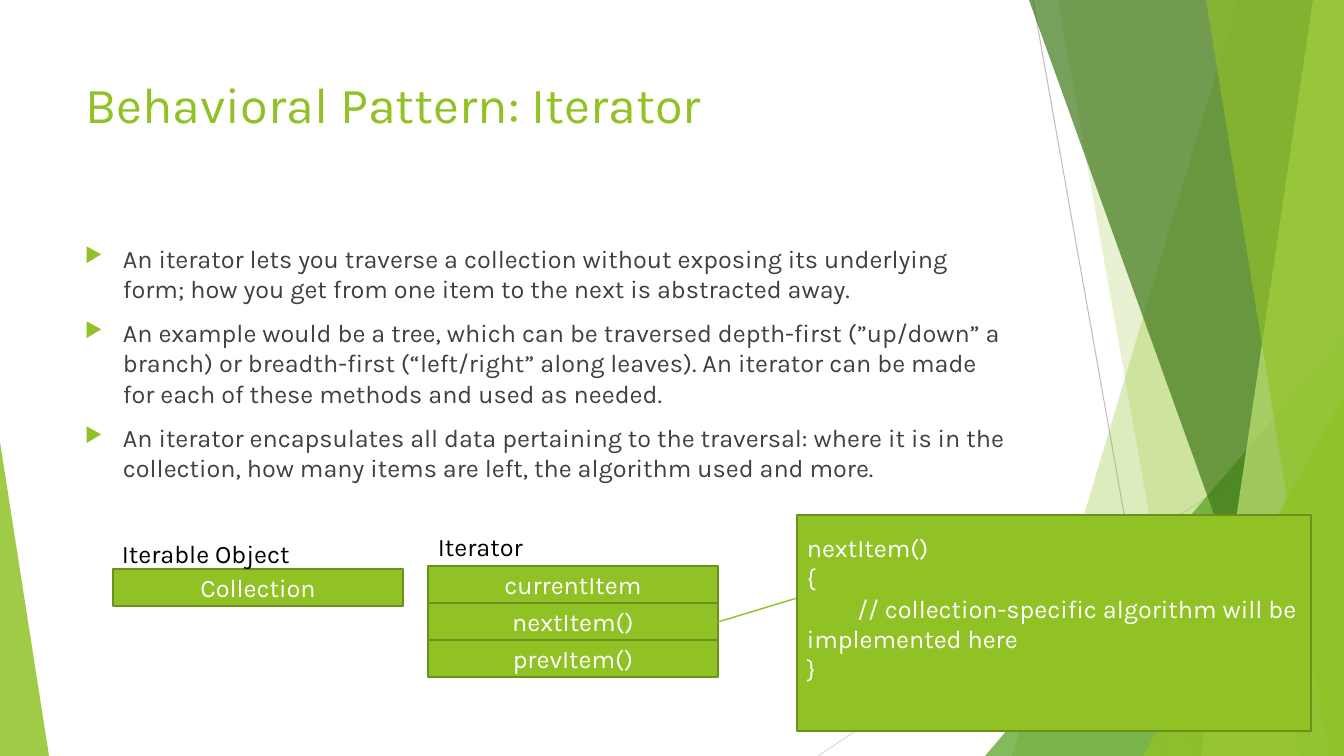
from dataclasses import dataclass

from lxml import etree
from pptx import Presentation
from pptx.dml.color import RGBColor
from pptx.enum.shapes import MSO_CONNECTOR, MSO_SHAPE
from pptx.enum.text import MSO_ANCHOR, MSO_AUTO_SIZE, PP_ALIGN
from pptx.oxml.ns import qn
from pptx.util import Pt

RECTANGLE = MSO_SHAPE.RECTANGLE
TRIANGLE = MSO_SHAPE.ISOSCELES_TRIANGLE
STRAIGHT = MSO_CONNECTOR.STRAIGHT
LEFT, CENTER = PP_ALIGN.LEFT, PP_ALIGN.CENTER
TOP, MIDDLE = MSO_ANCHOR.TOP, MSO_ANCHOR.MIDDLE
NO_AUTOFIT = MSO_AUTO_SIZE.NONE
GROW = MSO_AUTO_SIZE.SHAPE_TO_FIT_TEXT


@dataclass(frozen=True)
class Theme:
    font: str = "Karla"
    title_size: int = 36
    body_size: int = 18
    accent: str = "90C226"
    border: str = "6B901C"
    body: str = "404040"
    label: str = "000000"
    inverse: str = "FFFFFF"
    leaf: str = "54A021"
    forest: str = "3F7819"
    pale: str = "C0E474"
    line_dark: str = "BFBFBF"
    line_light: str = "D9D9D9"


THEME = Theme()
EMU_PER_PX = 914400 / 100.8
SLIDE_WIDTH, SLIDE_HEIGHT = 1344, 756

TITLE = "Behavioral Pattern: Iterator"
TITLE_BOX = (75, 68, 948, 145)
BULLETS = [
    "An iterator lets you traverse a collection without exposing its underlying form; "
    "how you get from one item to the next is abstracted away.",
    "An example would be a tree, which can be traversed depth-first (”up/down” a branch) "
    "or breadth-first (“left/right” along leaves). An iterator can be made for each of "
    "these methods and used as needed.",
    "An iterator encapsulates all data pertaining to the traversal: where it is in the "
    "collection, how many items are left, the algorithm used and more.",
]
BULLET_BOX = (75, 238, 948, 427)
BULLET_INDENT = 38

BACKGROUND_LINES = [
    ((1033, 0), (1167, 756), THEME.line_dark),
    ((1344, 406), (818, 756), THEME.line_light),
]
FACETS = [
    ("band", (1238, 1012), THEME.accent, 30),
    ("band", (1058, 1192), THEME.accent, 20),
    ("right", (985, 336, 359, 420), THEME.leaf, 72),
    ("band", (1029, 1301), THEME.forest, 70),
    ("band", (1313, 1201), THEME.pale, 70),
    ("band", (1206, 1329), THEME.accent, 65),
    ("right", (1143, 396, 201, 360), THEME.accent, 80),
    ("left", (0, 442, 49, 314), THEME.accent, 85),
]

MEMBER_WIDTH, MEMBER_HEIGHT = 290, 37
CLASSES = [
    ("Iterable Object", (112, 533, 196, 40), (113, 569), ["Collection"]),
    ("Iterator", (428, 526, 108, 40), (428, 566), ["currentItem", "nextItem()", "prevItem()"]),
]
CALLOUT_LINE = ((718, 622), (840, 585))
CODE = [
    "nextItem()",
    "{",
    "\t// collection-specific algorithm will be implemented here",
    "}",
]
CODE_BOX = (797, 515, 514, 216)
CODE_BOTTOM_INSET = 35


def px(value):
    return round(value * EMU_PER_PX)


def box_emu(box):
    return [px(value) for value in box]


def color(value):
    return RGBColor.from_string(value)


def write(shape, lines, text_color, size=THEME.body_size, align=LEFT, anchor=TOP):
    frame = shape.text_frame
    frame.text = "\n".join(lines)
    frame.word_wrap = True
    frame.auto_size = NO_AUTOFIT
    frame.vertical_anchor = anchor
    for paragraph in frame.paragraphs:
        paragraph.alignment = align
        for run in paragraph.runs:
            run.font.name = THEME.font
            run.font.size = Pt(size)
            run.font.color.rgb = color(text_color)
    return frame


def add_line(slide, start, end, line_color, width, arrow=False):
    connector = slide.shapes.add_connector(STRAIGHT, *box_emu(start + end))
    connector.line.color.rgb = color(line_color)
    connector.line.width = Pt(width)
    if arrow:
        line = connector.line._get_or_add_ln()
        etree.SubElement(line, qn("a:tailEnd"), type="triangle")
    etree.SubElement(connector._element.spPr, qn("a:effectLst"))


def add_facet(slide, kind, geometry, fill_color, opacity):
    if kind == "band":
        top_left, bottom_left = geometry
        builder = slide.shapes.build_freeform(top_left, 0, scale=EMU_PER_PX)
        builder.add_line_segments(
            [(SLIDE_WIDTH, 0), (SLIDE_WIDTH, SLIDE_HEIGHT), (bottom_left, SLIDE_HEIGHT)]
        )
        shape = builder.convert_to_shape()
    else:
        shape = slide.shapes.add_shape(TRIANGLE, *box_emu(geometry))
        shape.adjustments[0] = 1 if kind == "right" else 0
    shape.shadow.inherit = False
    shape.line.fill.background()
    shape.fill.solid()
    shape.fill.fore_color.rgb = color(fill_color)
    fill = shape._element.spPr.find(qn("a:solidFill"))
    etree.SubElement(fill[0], qn("a:alpha"), val=str(opacity * 1000))


def add_box(slide, box, lines, align):
    shape = slide.shapes.add_shape(RECTANGLE, *box_emu(box))
    shape.shadow.inherit = False
    shape.fill.solid()
    shape.fill.fore_color.rgb = color(THEME.accent)
    shape.line.color.rgb = color(THEME.border)
    shape.line.width = Pt(1.5)
    return write(shape, lines, THEME.inverse, align=align, anchor=MIDDLE)


def add_bullets(slide):
    frame = write(slide.shapes.add_textbox(*box_emu(BULLET_BOX)), BULLETS, THEME.body)
    for paragraph in frame.paragraphs:
        paragraph.space_before = Pt(10)
        properties = paragraph._p.get_or_add_pPr()
        properties.set("marL", str(px(BULLET_INDENT)))
        properties.set("indent", str(-px(BULLET_INDENT)))
        bullet_color = etree.SubElement(properties, qn("a:buClr"))
        etree.SubElement(bullet_color, qn("a:srgbClr"), val=THEME.accent)
        etree.SubElement(properties, qn("a:buSzPct"), val="80000")
        etree.SubElement(properties, qn("a:buChar"), char="▶")


def add_class(slide, name, label_box, corner, members):
    left, top = corner
    for index, member in enumerate(members):
        box = (left, top + index * MEMBER_HEIGHT, MEMBER_WIDTH, MEMBER_HEIGHT)
        add_box(slide, box, [member], CENTER)
    frame = write(slide.shapes.add_textbox(*box_emu(label_box)), [name], THEME.label)
    frame.word_wrap = False
    frame.auto_size = GROW


def main():
    presentation = Presentation()
    presentation.slide_width, presentation.slide_height = px(SLIDE_WIDTH), px(SLIDE_HEIGHT)
    slide = presentation.slides.add_slide(presentation.slide_layouts[5])
    for start, end, line_color in BACKGROUND_LINES:
        add_line(slide, start, end, line_color, 0.75)
    for facet in FACETS:
        add_facet(slide, *facet)
    title = slide.shapes.title
    title.left, title.top, title.width, title.height = box_emu(TITLE_BOX)
    write(title, [TITLE], THEME.accent, size=THEME.title_size)
    add_bullets(slide)
    for diagram_class in CLASSES:
        add_class(slide, *diagram_class)
    add_line(slide, *CALLOUT_LINE, THEME.accent, 1, arrow=True)
    code_frame = add_box(slide, CODE_BOX, CODE, LEFT)
    code_frame.margin_bottom = px(CODE_BOTTOM_INSET)
    presentation.save("out.pptx")


if __name__ == "__main__":
    main()
